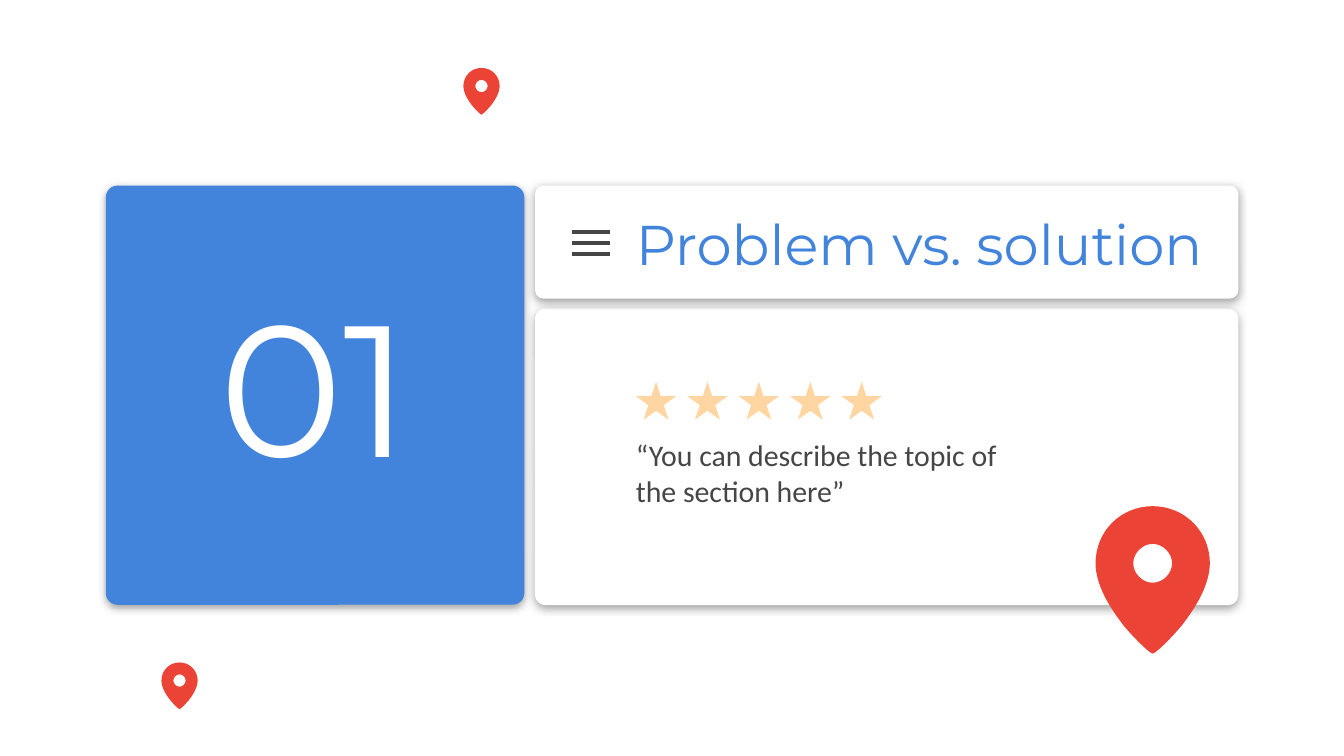
from dataclasses import dataclass
from typing import NamedTuple

from lxml import etree
from pptx import Presentation
from pptx.dml.color import RGBColor
from pptx.enum import shapes, text
from pptx.oxml.ns import qn
from pptx.util import Pt


@dataclass(frozen=True)
class Theme:
    blue: str = "4284DB"
    red: str = "EB4335"
    gold: str = "FFD6A2"
    dark: str = "464646"
    white: str = "FFFFFF"
    display: str = "Montserrat"
    body: str = "Calibri"
    title_size: float = 30
    number_size: float = 100
    quote_size: float = 16
    menu_width: float = 2.25


class Box(NamedTuple):
    left: float
    top: float
    width: float
    height: float


class Card(NamedTuple):
    box: Box
    radius: float
    color: str


class Pin(NamedTuple):
    left: float
    top: float
    width: float


class TextStyle(NamedTuple):
    font: str
    size: float
    color: str
    align: text.PP_ALIGN = text.PP_ALIGN.LEFT
    anchor: text.MSO_ANCHOR = text.MSO_ANCHOR.TOP
    spacing: float = 1.0


THEME = Theme()
PIN_HALF = [
    (0.5, 0), (0.22, 0), (0, 0.22), (0, 0.5),
    (0, 0.59), (0.03, 0.69), (0.08, 0.79),
    (0.12, 0.87), (0.18, 0.96), (0.25, 1.05),
    (0.37, 1.19), (0.48, 1.29), (0.5, 1.29),
]
HOLE_HALF = [
    (0.5, 0.33), (0.41, 0.33), (0.33, 0.41), (0.33, 0.5),
    (0.33, 0.59), (0.41, 0.67), (0.5, 0.67),
]

CARDS = [
    Card(Box(286.6, 165.2, 376.8, 159), 0.036, THEME.white),
    Card(Box(286.6, 99.4, 376.8, 60.6), 0.075, THEME.white),
    Card(Box(56.7, 99.4, 224.2, 224.6), 0.028, THEME.blue),
]
BACK_PIN = Pin(86.5, 354.9, 19.4)
FRONT_PINS = [Pin(586.9, 271.2, 61.2), Pin(248.3, 36.4, 19.4)]


def fill(sp, color: str) -> None:
    sp.shadow.inherit = False
    sp.fill.solid()
    sp.fill.fore_color.rgb = RGBColor.from_string(color)
    sp.line.fill.background()


def add_preset(s, kind: shapes.MSO_SHAPE, box: Box, color: str):
    sp = s.shapes.add_shape(kind, *map(Pt, box))
    fill(sp, color)
    return sp


def add_card(s, card: Card) -> None:
    sp = add_preset(s, shapes.MSO_SHAPE.ROUNDED_RECTANGLE, card.box, card.color)
    sp.adjustments[0] = card.radius
    effects = sp.element.spPr.find(qn("a:effectLst"))
    shadow = etree.SubElement(effects, qn("a:outerShdw"), blurRad=str(Pt(4.5)),
                              dist=str(Pt(1.5)), dir="5400000",
                              algn="bl", rotWithShape="0")
    color = etree.SubElement(shadow, qn("a:srgbClr"), val=THEME.dark)
    etree.SubElement(color, qn("a:alpha"), val="50000")


def bend_segments(sp) -> None:
    segments = list(sp.element.iter(qn("a:lnTo")))
    for i in range(0, len(segments), 3):
        curve = etree.Element(qn("a:cubicBezTo"))
        segments[i].addprevious(curve)
        for segment in segments[i:i + 3]:
            curve.append(segment[0])
            segment.getparent().remove(segment)


def add_pin(s, pin: Pin) -> None:
    def contour(half):
        points = half + [(1 - x, y) for x, y in reversed(half[:-1])]
        return [(Pt(pin.left + x * pin.width), Pt(pin.top + y * pin.width))
                for x, y in points]

    hole, outline = contour(HOLE_HALF), contour(PIN_HALF)
    builder = s.shapes.build_freeform(*hole[0])
    builder.add_line_segments(hole[1:], close=True)
    builder.move_to(*outline[0])
    builder.add_line_segments(outline[1:], close=True)
    sp = builder.convert_to_shape()
    bend_segments(sp)
    fill(sp, THEME.red)


def add_menu_bar(s, left: float, top: float, width: float) -> None:
    bar = s.shapes.add_connector(shapes.MSO_CONNECTOR.STRAIGHT, Pt(left), Pt(top),
                                 Pt(left + width), Pt(top))
    bar.line.color.rgb = RGBColor.from_string(THEME.dark)
    bar.line.width = Pt(THEME.menu_width)
    etree.SubElement(bar.element.spPr, qn("a:effectLst"))


def set_text(sp, box: Box, words: str, style: TextStyle) -> None:
    sp.left, sp.top, sp.width, sp.height = map(Pt, box)
    tf = sp.text_frame
    tf.word_wrap = True
    tf.auto_size = text.MSO_AUTO_SIZE.NONE
    tf.margin_left = tf.margin_top = tf.margin_right = tf.margin_bottom = 0
    tf.vertical_anchor = style.anchor
    p = tf.paragraphs[0]
    p.text = words
    p.alignment = style.align
    p.line_spacing = style.spacing
    p.font.name = style.font
    p.font.size = Pt(style.size)
    p.font.color.rgb = RGBColor.from_string(style.color)


def add_text(s, box: Box, words: str, style: TextStyle) -> None:
    set_text(s.shapes.add_textbox(*map(Pt, box)), box, words, style)


def main() -> None:
    prs = Presentation()
    prs.slide_width, prs.slide_height = Pt(720), Pt(405)
    s = prs.slides.add_slide(prs.slide_layouts[5])

    add_pin(s, BACK_PIN)
    for card in CARDS:
        add_card(s, card)
    for i in range(3):
        add_menu_bar(s, 306.5, 124.1 + i * 6.1, 20.4)

    add_text(s, Box(340.7, 233.8, 211, 42.5),
             "“You can describe the topic of the section here”",
             TextStyle(THEME.body, THEME.quote_size, THEME.dark))

    title = s.shapes.title
    set_text(title, Box(340.7, 112.3, 313.2, 35.3), "Problem vs. solution",
             TextStyle(THEME.display, THEME.title_size, THEME.blue))
    title.element.getparent().append(title.element)

    add_text(s, Box(85.4, 158.4, 167, 105.8), "01",
             TextStyle(THEME.display, THEME.number_size, THEME.white,
                       text.PP_ALIGN.CENTER, text.MSO_ANCHOR.BOTTOM, 0.8))

    for i in range(5):
        add_preset(s, shapes.MSO_SHAPE.STAR_5_POINT,
                   Box(340.7 + i * 27.54, 204.5, 21.6, 20.4), THEME.gold)
    for pin in FRONT_PINS:
        add_pin(s, pin)

    prs.save("out.pptx")


if __name__ == "__main__":
    main()
